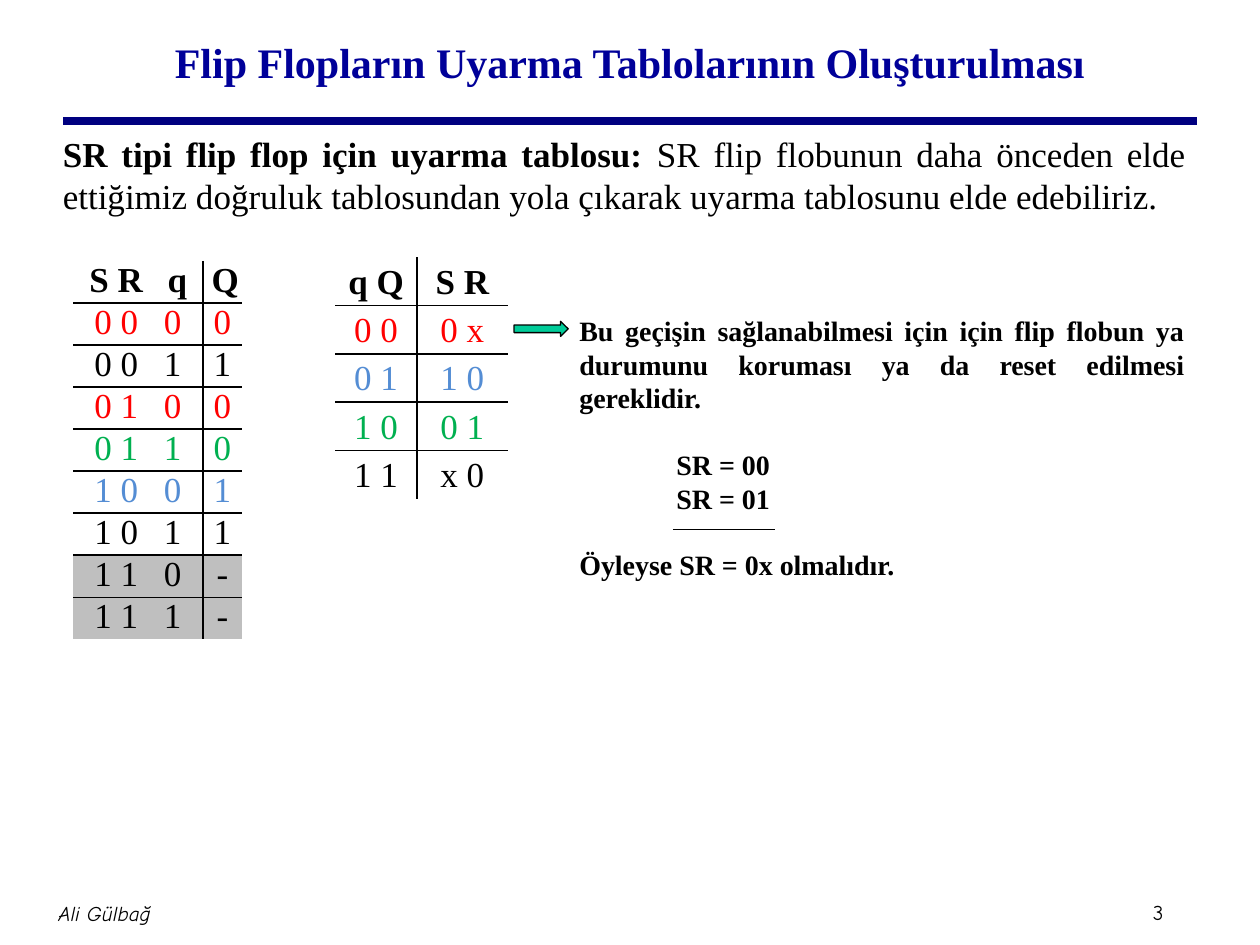
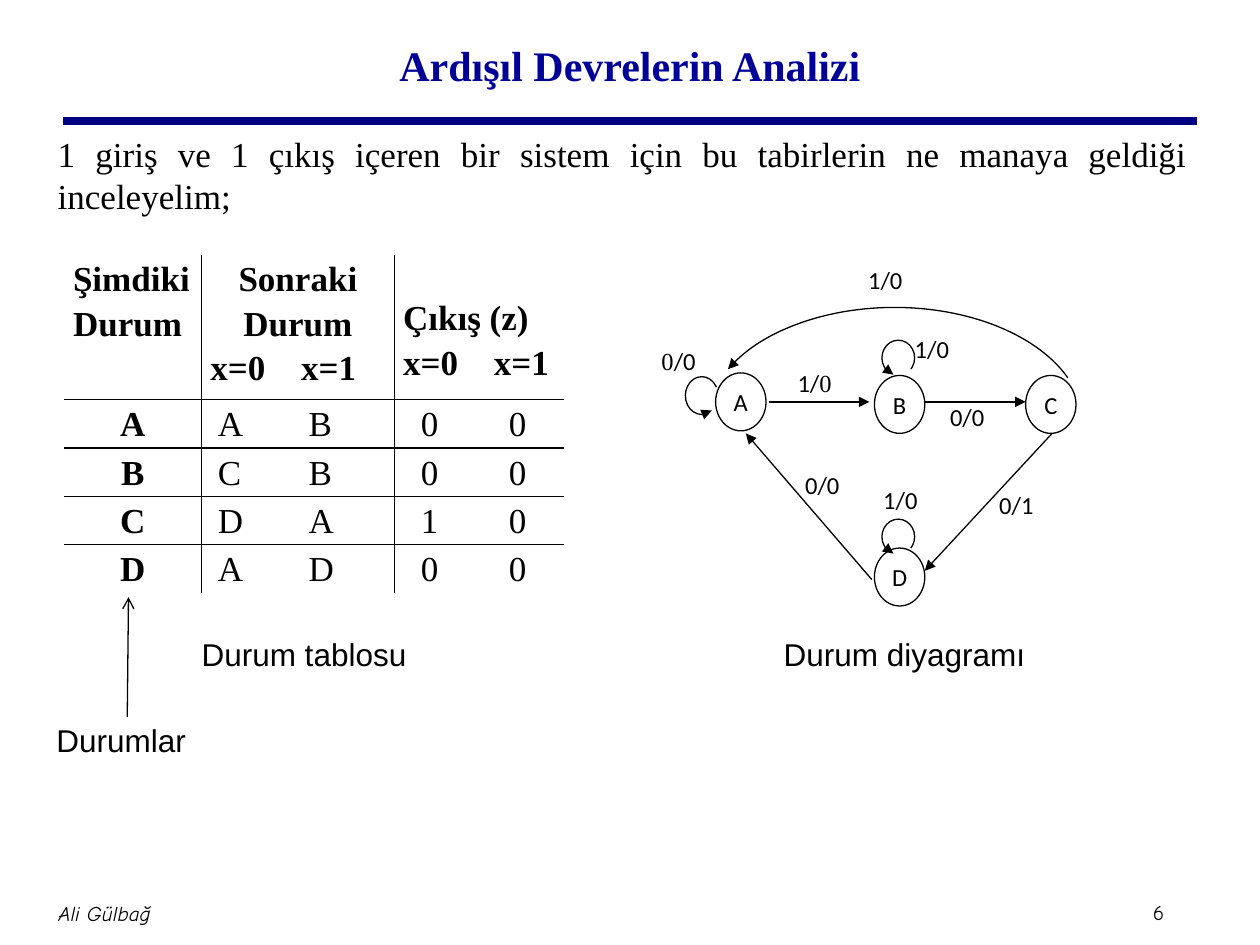
"""Build two slides on flip-flop excitation tables and state diagrams."""
from lxml import etree
from pptx import Presentation
from pptx.dml.color import RGBColor
from pptx.enum.shapes import MSO_CONNECTOR, MSO_SHAPE
from pptx.enum.text import MSO_ANCHOR, PP_ALIGN
from pptx.oxml.ns import qn
from pptx.util import Inches, Pt

LEFT, CENTER, JUSTIFY = PP_ALIGN.LEFT, PP_ALIGN.CENTER, PP_ALIGN.JUSTIFY
TOP, MIDDLE, BOTTOM = MSO_ANCHOR.TOP, MSO_ANCHOR.MIDDLE, MSO_ANCHOR.BOTTOM
STRAIGHT = MSO_CONNECTOR.STRAIGHT
ARC, ELLIPSE, RIGHT_ARROW = MSO_SHAPE.ARC, MSO_SHAPE.OVAL, MSO_SHAPE.RIGHT_ARROW
SERIF, SANS, LABEL, FOOTER = "Times New Roman", "Arial", "Calibri", "Comic Neue"
COLORS = {
    "black": "000000", "title": "000099", "band": "000080", "white": "FFFFFF",
    "red": "FF0000", "green": "00B050", "blue": "548DD4", "gray": "BFBFBF",
    "arrow": "00CC99",
}
RGB = {name: RGBColor.from_string(value) for name, value in COLORS.items()}


def write(frame, lines, size, font=SERIF, color="black", bold=False, italic=False,
          align=LEFT, anchor=TOP, inset=(0.1, 0.05), spacing=1, before=0, after=0, tab=None):
    """Fill a text frame; a line is a string or a list of (text, font, bold) runs."""
    frame.word_wrap = True
    frame.vertical_anchor = anchor
    frame.margin_left = frame.margin_right = Inches(inset[0])
    frame.margin_top = frame.margin_bottom = Inches(inset[1])
    for index, line in enumerate(lines):
        para = frame.paragraphs[0] if index == 0 else frame.add_paragraph()
        para.alignment, para.line_spacing = align, spacing
        para.space_before, para.space_after = Pt(before), Pt(after)
        if tab:
            tabs = etree.SubElement(para._p.get_or_add_pPr(), qn("a:tabLst"))
            etree.SubElement(tabs, qn("a:tab"), pos=str(Inches(tab)), algn="l")
        for text, face, heavy in [(line, font, bold)] if isinstance(line, str) else line:
            span = para.add_run()
            span.text = text
            span.font.name, span.font.size = face, Pt(size)
            span.font.bold, span.font.italic = heavy, italic
            span.font.color.rgb = RGB[color]


def draw_table(page, corner, widths, heights, rows, upright, colors=None,
               shaded=(), thick=(), bold_column=False, spacing=1.15, layout=None):
    """Draw a table with inner rules; layout maps (is header, column) to align, indent, drop, tab."""
    frame = page.shapes.add_table(len(rows), len(widths), *map(Inches, corner),
                                  Inches(sum(widths)), Inches(sum(heights)))
    table = frame.table
    table.first_row = table.horz_banding = False
    for column, width in zip(table.columns, widths):
        column.width = Inches(width)
    for r, values in enumerate(rows):
        table.rows[r].height = Inches(heights[r])
        for c, lines in enumerate(values):
            cell = table.cell(r, c)
            align, indent, drop, tab = (layout or {}).get((r == 0, c), (CENTER, 0, 0, None))
            write(cell.text_frame, lines if isinstance(lines, list) else [lines], 20,
                  color=colors[r] if colors else "black",
                  bold=r == 0 or (bold_column and c == 0),
                  align=align, spacing=spacing, tab=tab)
            cell.margin_left, cell.margin_right = Inches(0.07 + indent), Inches(0.07)
            cell.margin_top, cell.margin_bottom = Inches(drop), 0
            if r in shaded:
                cell.fill.solid()
                cell.fill.fore_color.rgb = RGB["gray"]
            else:
                cell.fill.background()
            edges = {
                "L": upright if c else 0,
                "R": upright if c < len(widths) - 1 else 0,
                "T": (1.5 if r - 1 in thick else 1) if r else 0,
                "B": (1.5 if r in thick else 1) if r < len(rows) - 1 else 0,
            }
            for place, (side, points) in enumerate(edges.items()):
                edge = etree.Element(qn("a:ln" + side), w=str(Pt(points)))
                fill = etree.SubElement(edge, qn("a:solidFill" if points else "a:noFill"))
                if points:
                    etree.SubElement(fill, qn("a:srgbClr"), val=COLORS["black"])
                cell._tc.get_or_add_tcPr().insert(place, edge)


deck = Presentation()
deck.slide_width, deck.slide_height = Inches(10), Inches(7.5)
excitation, analysis = [deck.slides.add_slide(deck.slide_layouts[6]) for _ in range(2)]

connectors = []
pages = [
    (excitation, "3", "Flip Flopların Uyarma Tablolarının Oluşturulması", 0.06, (0.4, 9.11),
     [("SR tipi flip flop için uyarma tablosu: ", SERIF, True),
      ("SR flip flobunun daha önceden elde ettiğimiz doğruluk tablosundan yola çıkarak "
       "uyarma tablosunu elde edebiliriz.", SERIF, False)]),
    (analysis, "6", "Ardışıl Devrelerin Analizi", 0.08, (0.36, 9.16),
     "1 giriş ve 1 çıkış içeren bir sistem için bu tabirlerin ne manaya geldiği inceleyelim;"),
]
for page, number, title, title_top, (body_left, body_width), body in pages:
    connectors.append((page, (0.5, 0.96), (9.5, 0.96), "band", 4.5, None))
    small = dict(size=12, font=FOOTER, anchor=MIDDLE, inset=(0.05, 0.05))
    for place, line, style in [
        ((9.1, 7.09, 0.47, 0.3), number, small),
        ((0.03, 7, 1.6, 0.5), "Ali Gülbağ", dict(small, italic=True, align=CENTER)),
        ((0.75, title_top, 8.5, 0.86), title,
         dict(size=24, color="title", bold=True, align=CENTER, anchor=MIDDLE)),
        ((body_left, 1, body_width, 0.98), body, dict(size=20, align=JUSTIFY, before=4)),
    ]:
        box = page.shapes.add_textbox(*map(Inches, place))
        write(box.text_frame, [line], **style)

truth_rows = [("S R\tq", "Q"), ("0 0\t0", "0"), ("0 0\t1", "1"), ("0 1\t0", "0"),
              ("0 1\t1", "0"), ("1 0\t0", "1"), ("1 0\t1", "1"), ("1 1\t0", "-"), ("1 1\t1", "-")]
draw_table(excitation, (0.58, 2.07), (1.03, 0.31), [0.31] * 9, truth_rows, 1.5,
           colors=["black", "red", "black", "red", "green", "blue", "black", "black", "black"],
           shaded=(7, 8), thick=(2, 4, 6), spacing=1,
           layout={(True, 0): (LEFT, 0.06, 0, 0.62), (False, 0): (LEFT, 0.1, 0, 0.55)})
draw_table(excitation, (2.66, 2.04), (0.65, 0.72), [0.35] * 5,
           [("q Q", "S R"), ("0 0", "0 x"), ("0 1", "1 0"), ("1 0", "0 1"), ("1 1", "x 0")],
           1.5, colors=["black", "red", "blue", "green", "black"])

explanation = excitation.shapes.add_textbox(*map(Inches, (4.5, 2.44, 5, 2.26))).text_frame
write(explanation,
      ["Bu geçişin sağlanabilmesi için için flip flobun ya durumunu koruması ya da "
       "reset edilmesi gereklidir.", "SR = 00", "SR = 01", "Öyleyse SR = 0x olmalıdır."],
      16, bold=True, align=JUSTIFY)
for para in explanation.paragraphs[1:3]:
    para._p.get_or_add_pPr().set("marL", str(Inches(0.77)))
for index in (1, 3):
    explanation.paragraphs[index].space_before = Pt(19)
connectors.append((excitation, (5.34, 4.2), (6.15, 4.2), "black", 0.75, None))

pointer = excitation.shapes.add_shape(RIGHT_ARROW, *map(Inches, (4.08, 2.55, 0.43, 0.12)))
pointer.shadow.inherit = False
pointer.fill.solid()
pointer.fill.fore_color.rgb = RGB["arrow"]
pointer.line.color.rgb, pointer.line.width = RGB["black"], Pt(0.75)

state_rows = [
    ("Şimdiki Durum", ["Sonraki Durum", "x=0\tx=1"], ["Çıkış (z)", "x=0\tx=1"]),
    ("A", "A\tB", "0\t0"), ("B", "C\tB", "0\t0"), ("C", "D\tA", "1\t0"), ("D", "A\tD", "0\t0"),
]
draw_table(analysis, (0.51, 2.02), (1.09, 1.53, 1.35), [1.06] + [0.35] * 4, state_rows, 1,
           bold_column=True,
           layout={(True, 0): (LEFT, 0, 0, None), (True, 1): (LEFT, 0, 0, 0.72),
                   (True, 2): (LEFT, 0, 0.31, 0.72), (False, 1): (LEFT, 0.06, 0, 0.72),
                   (False, 2): (LEFT, 0.14, 0, 0.7)})
next_state = analysis.shapes[-1].table.cell(0, 1).text_frame
next_state.paragraphs[0].alignment = CENTER

for name, left, top in [("A", 5.68, 2.96), ("B", 6.94, 2.98), ("C", 8.14, 2.98), ("D", 6.94, 4.35)]:
    state = analysis.shapes.add_shape(ELLIPSE, *map(Inches, (left, top, 0.4, 0.46)))
    state.shadow.inherit = False
    state.fill.solid()
    state.fill.fore_color.rgb = RGB["white"]
    state.line.color.rgb, state.line.width = RGB["black"], Pt(0.75)
    write(state.text_frame, [name], 14, LABEL, align=CENTER, anchor=MIDDLE, inset=(0, 0))

for center_x, center_y, radius_x, radius_y, start, end in [
    (7.13, 2.84, 0.13, 0.14, 106, 42), (5.57, 3.14, 0.13, 0.15, 56, 330),
    (7.13, 4.26, 0.13, 0.14, 106, 42), (7.1, 3.37, 1.5, 0.93, 198.4, 344.9),
]:
    loop = analysis.shapes.add_shape(ARC, Inches(center_x - radius_x), Inches(center_y - radius_y),
                                     Inches(2 * radius_x), Inches(2 * radius_y))
    loop.adjustments[0], loop.adjustments[1] = start * 0.6, end * 0.6
    loop.shadow.inherit = False
    loop.fill.background()
    loop.line.color.rgb, loop.line.width = RGB["black"], Pt(0.75)
    etree.SubElement(loop.element.spPr.find(qn("a:ln")), qn("a:headEnd"), type="triangle")

for line, left, top in [
    ("1/0", 6.89, 2.1), ("1/0", 7.26, 2.65), ("1/0", 7.01, 3.85), ("0/0", 7.54, 3.19),
    ([("0", SERIF, False), ("/0", LABEL, False)], 5.25, 2.75), ("0/0", 6.39, 3.73),
    ("0/1", 7.93, 3.89), ([("1/", LABEL, False), ("0", SERIF, False)], 6.33, 2.92),
]:
    box = analysis.shapes.add_textbox(*map(Inches, (left, top, 0.4, 0.46)))
    write(box.text_frame, [line], 14, LABEL, inset=(0, 0), after=10)

captions = analysis.shapes.add_textbox(*map(Inches, (0.32, 4.99, 9.14, 0.4))).text_frame
write(captions, ["Durum tablosu\tDurum diyagramı"], 18, SANS, anchor=MIDDLE, tab=4.62)
captions.margin_left = Inches(1.28)
states = analysis.shapes.add_textbox(*map(Inches, (0.35, 5.36, 1.4, 0.71)))
write(states.text_frame, ["Durumlar"], 18, SANS, anchor=BOTTOM)

for start, end, tip in [
    ((6.1, 3.19), (6.9, 3.19), "triangle"), ((7.34, 3.19), (8.14, 3.19), "triangle"),
    ((8.35, 3.44), (7.34, 4.53), "triangle"), ((6.92, 4.6), (5.92, 3.44), "triangle"),
    ((1.01, 5.69), (1.02, 4.74), "arrow"),
]:
    connectors.append((analysis, start, end, "black", 0.75, tip))

for page, start, end, color, width, tip in connectors:
    connector = page.shapes.add_connector(STRAIGHT, *map(Inches, start + end))
    connector.line.color.rgb, connector.line.width = RGB[color], Pt(width)
    properties = connector.element.spPr
    if tip:
        etree.SubElement(properties.find(qn("a:ln")), qn("a:tailEnd"), type=tip)
    etree.SubElement(properties, qn("a:effectLst"))

deck.save("out.pptx")
